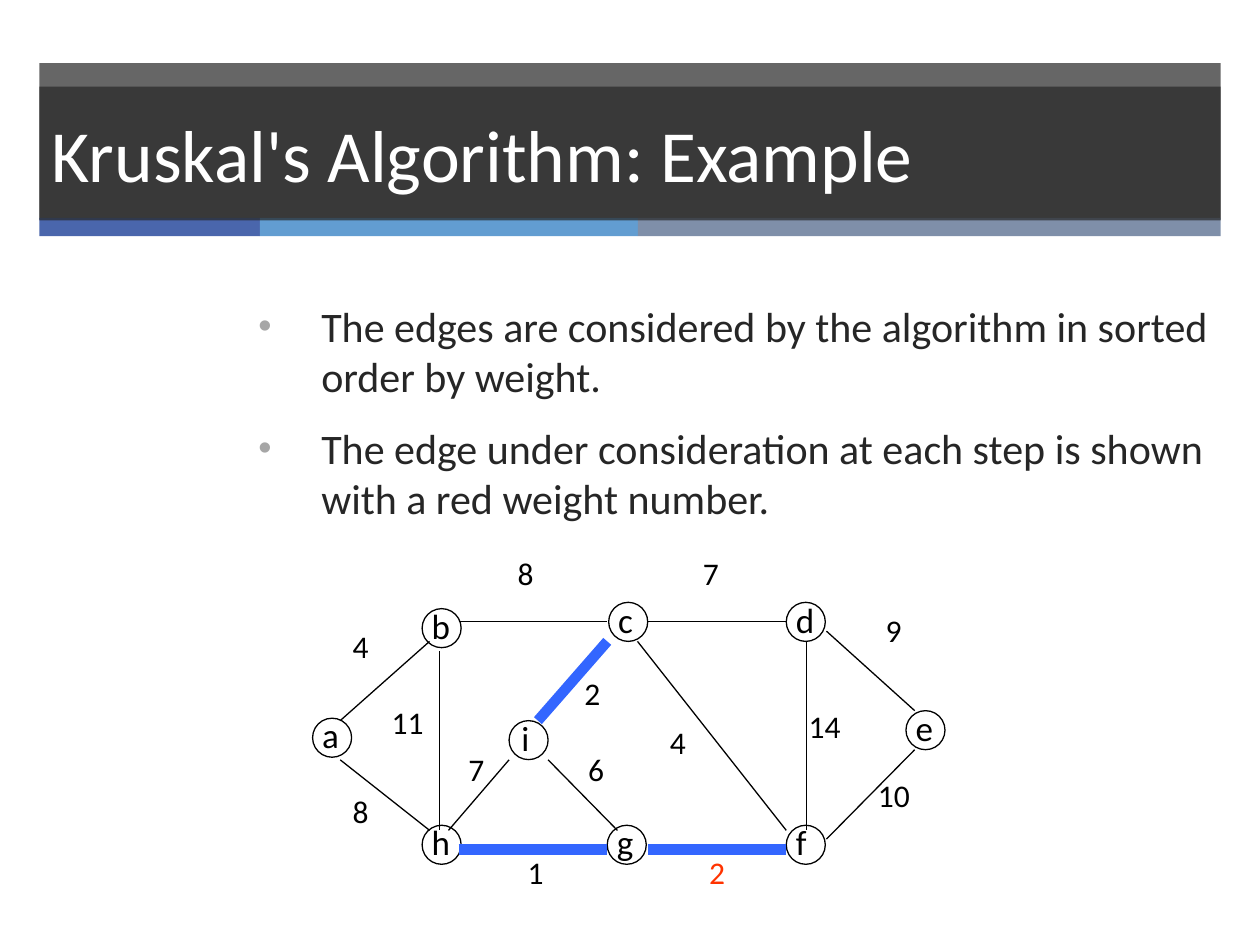
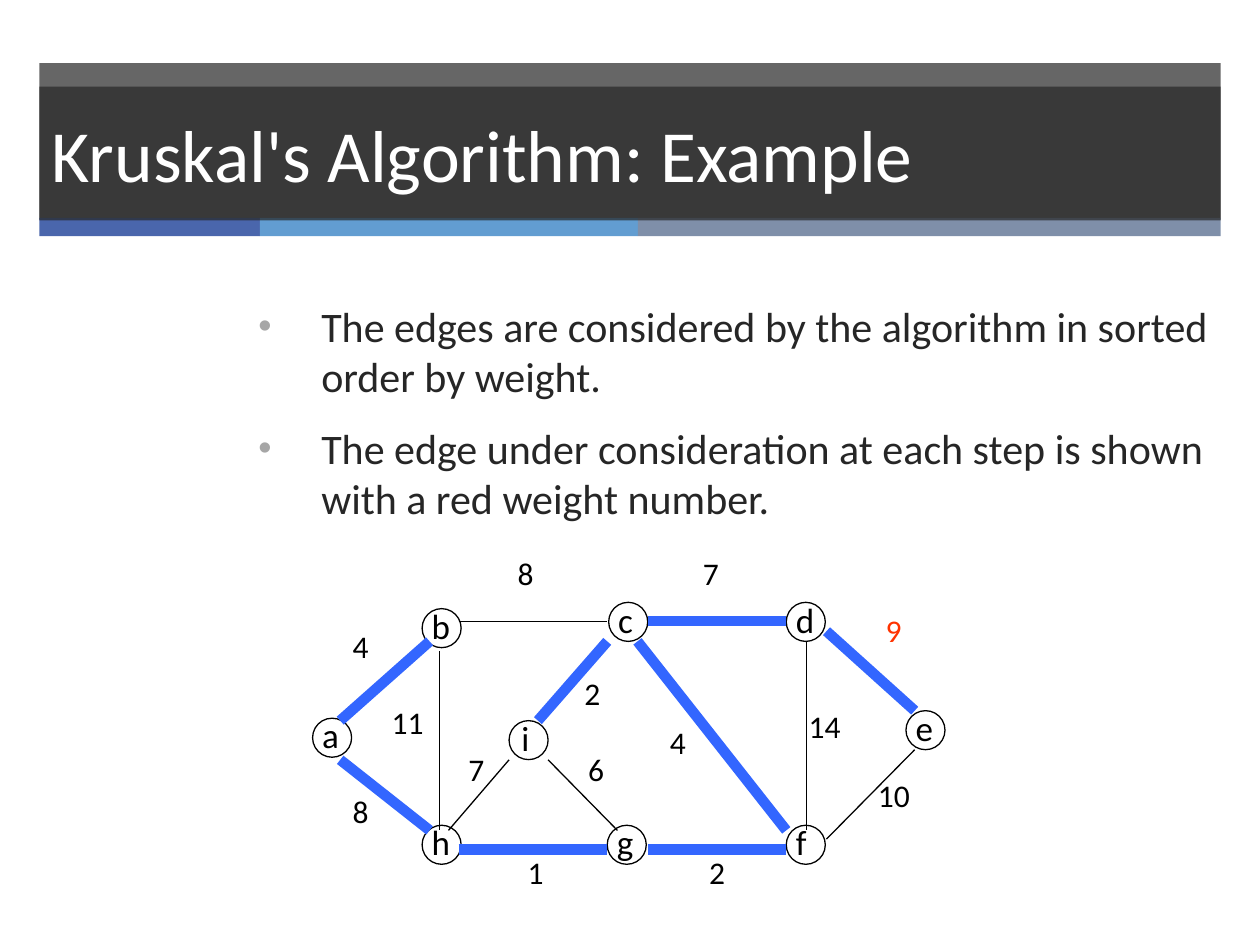
from lxml.etree import SubElement
from pptx import Presentation
from pptx.dml.color import RGBColor
from pptx.enum.shapes import MSO_CONNECTOR, MSO_SHAPE
from pptx.enum.text import MSO_ANCHOR, MSO_AUTO_SIZE, PP_ALIGN
from pptx.oxml.ns import qn
from pptx.util import Pt

FONT = "Calibri"
BLACK, WHITE, CHARCOAL, BULLET_GREY = "000000", "FFFFFF", "262626", "A6A6A6"
TREE_BLUE, CURRENT_RED = "3366FF", "FF3300"
BAND_LEFT, BAND_WIDTH, BAND_OPACITY = 22.5, 675, 70
ACCENTS = [("4A66AC", 126), ("629DD1", 216), ("7F8FA9", 333)]
TITLE = "Kruskal's Algorithm: Example"
POINTS = [
    "The edges are considered by the algorithm in sorted order by weight.",
    "The edge under consideration at each step is shown with a red weight number.",
]

NODE_SIZE = 22.3
NODES = {
    "a": (178.6, 410.4), "b": (241.2, 347.8), "h": (241.2, 471.6),
    "c": (347.8, 344.2), "d": (449.3, 344.2), "e": (517.7, 406.1),
    "f": (449.3, 471.6), "g": (347, 471.6), "i": (290.9, 411.8),
}
LETTER_WIDTHS = {"f": 20.9, "i": 20.2}

# Each edge: start, end, weight, left and top of the weight.
EDGES = {
    "ab": ((194.4, 411.8), (245.5, 366.5), "4", (194.4, 355)),
    "ah": ((194.4, 434.2), (245.5, 474.5), "8", (194.4, 449.3)),
    "bh": ((251.3, 372.2), (251.3, 474.5), "11", (216.7, 398.2)),
    "bc": ((262.1, 355), (347, 355), "8", (288.7, 313.2)),
    "hg": ((262.1, 485.3), (347, 485.3), "1", (294.5, 483.8)),
    "gf": ((370.1, 485.3), (449.3, 485.3), "2", (398.2, 483.8)),
    "cf": ((364.3, 366.5), (449.3, 474.5), "4", (375.8, 409.7)),
    "cd": ((370.1, 355), (449.3, 355), "7", (394.6, 313.2)),
    "df": ((460.8, 366.5), (460.8, 474.5), "14", (455, 400.3)),
    "de": ((472.3, 360.7), (522.7, 406.1), "9", (499, 345.6)),
    "fe": ((472.3, 479.5), (522.7, 428.4), "10", (494.6, 439.9)),
    "ig": ((313.2, 434.2), (352.8, 474.5), "6", (329, 424.8)),
    "hi": ((256.3, 474.5), (290.9, 434.2), "7", (260.6, 424.8)),
    "ic": ((307.4, 411.8), (347, 366.5), "2", (326.9, 381.6)),
}

STEPS = [
    ({"hg", "ic", "gf"}, "gf"),
    ({"hg", "ic", "gf", "ab", "cf", "cd", "ah", "de"}, "de"),
]


def rgb(color):
    """Turn a hex string into a colour."""
    return RGBColor.from_string(color)


def style_font(paragraph, size, color):
    """Format every run of a paragraph."""
    for run in paragraph.runs:
        run.font.name = FONT
        run.font.size = Pt(size)
        run.font.color.rgb = rgb(color)


def fill_solid(shape, color, opacity=100):
    """Fill a shape, letting the background through below full opacity."""
    shape.fill.solid()
    shape.fill.fore_color.rgb = rgb(color)
    if opacity < 100:
        tint = shape.fill._xPr.find(qn("a:solidFill"))[0]
        SubElement(tint, qn("a:alpha"), val=str(opacity * 1000))


def add_band(slide, left, top, width, height, color, opacity=100):
    """Draw a borderless rectangle."""
    band = slide.shapes.add_shape(MSO_SHAPE.RECTANGLE, Pt(left), Pt(top), Pt(width), Pt(height))
    band.shadow.inherit = False
    band.line.fill.background()
    fill_solid(band, color, opacity)


def add_header(slide):
    """Draw the bands and place the title over them."""
    add_band(slide, BAND_LEFT, 36, BAND_WIDTH, 89.5, CHARCOAL, BAND_OPACITY)
    left = BAND_LEFT
    for color, width in ACCENTS:
        add_band(slide, left, 124.5, width, 10.5, color)
        left += width

    title = slide.shapes.title
    slide.shapes._spTree.append(title._element)
    title.left, title.top = Pt(BAND_LEFT), Pt(49.5)
    title.width, title.height = Pt(BAND_WIDTH), Pt(76.5)
    fill_solid(title, CHARCOAL, BAND_OPACITY)
    frame = title.text_frame
    frame.text = TITLE
    frame.auto_size = MSO_AUTO_SIZE.NONE
    frame.vertical_anchor = MSO_ANCHOR.MIDDLE
    frame.paragraphs[0].alignment = PP_ALIGN.LEFT
    style_font(frame.paragraphs[0], 42, WHITE)


def add_bullet(paragraph):
    """Give a paragraph a grey bullet and a hanging indent."""
    properties = paragraph._p.get_or_add_pPr()
    properties.set("marL", str(Pt(36)))
    properties.set("indent", str(Pt(-36)))
    bullet_color = SubElement(properties, qn("a:buClr"))
    SubElement(bullet_color, qn("a:srgbClr"), val=BULLET_GREY)
    SubElement(properties, qn("a:buSzPct"), val="90000")
    SubElement(properties, qn("a:buFont"), typeface="Arial")
    SubElement(properties, qn("a:buChar"), char="•")


def add_points(slide):
    """Write the bulleted explanation."""
    frame = slide.shapes.add_textbox(Pt(140.5), Pt(168), Pt(557), Pt(314.5)).text_frame
    frame.word_wrap = True
    frame.text = "\n".join(POINTS)
    for index, paragraph in enumerate(frame.paragraphs):
        add_bullet(paragraph)
        if index:
            paragraph.space_before = Pt(12)
        style_font(paragraph, 24, CHARCOAL)


def add_label(graph, text, left, top, width, height, size, color=BLACK):
    """Write a short label that does not wrap."""
    frame = graph.add_textbox(Pt(left), Pt(top), Pt(width), Pt(height)).text_frame
    frame.word_wrap = False
    frame.auto_size = MSO_AUTO_SIZE.SHAPE_TO_FIT_TEXT
    frame.text = text
    style_font(frame.paragraphs[0], size, color)


def add_node(graph, letter):
    """Draw a vertex with its letter."""
    left, top = NODES[letter]
    circle = graph.add_shape(MSO_SHAPE.OVAL, Pt(left), Pt(top), Pt(NODE_SIZE), Pt(NODE_SIZE))
    circle.shadow.inherit = False
    circle.fill.background()
    circle.line.color.rgb = rgb(BLACK)
    circle.line.width = Pt(0.75)
    inset = 0 if letter == "i" else 1.6
    add_label(graph, letter, left - inset, top - 6, LETTER_WIDTHS.get(letter, 23.8), 31, 20)


def add_edge(graph, edge, in_tree, is_current):
    """Draw an edge with its weight."""
    start, end, weight, (left, top) = EDGES[edge]
    line = graph.add_connector(MSO_CONNECTOR.STRAIGHT, *map(Pt, start + end))
    line.line.color.rgb = rgb(TREE_BLUE if in_tree else BLACK)
    line.line.width = Pt(6 if in_tree else 0.75)
    SubElement(line._element.spPr, qn("a:effectLst"))
    weight_width = 15 + 11.6 * len(weight)
    add_label(graph, weight, left, top, weight_width, 36, 18,
              CURRENT_RED if is_current else BLACK)


def add_graph(slide, tree, current):
    """Draw the weighted graph at one step of the algorithm."""
    graph = slide.shapes.add_group_shape().shapes
    for letter in NODES:
        add_node(graph, letter)
    for edge in EDGES:
        add_edge(graph, edge, edge in tree, edge == current)


def main():
    """Build one slide for each step."""
    deck = Presentation()
    deck.slide_width, deck.slide_height = Pt(720), Pt(540)
    title_only = deck.slide_layouts[5]
    for tree, current in STEPS:
        slide = deck.slides.add_slide(title_only)
        add_header(slide)
        add_points(slide)
        add_graph(slide, tree, current)
    deck.save("out.pptx")


if __name__ == "__main__":
    main()
